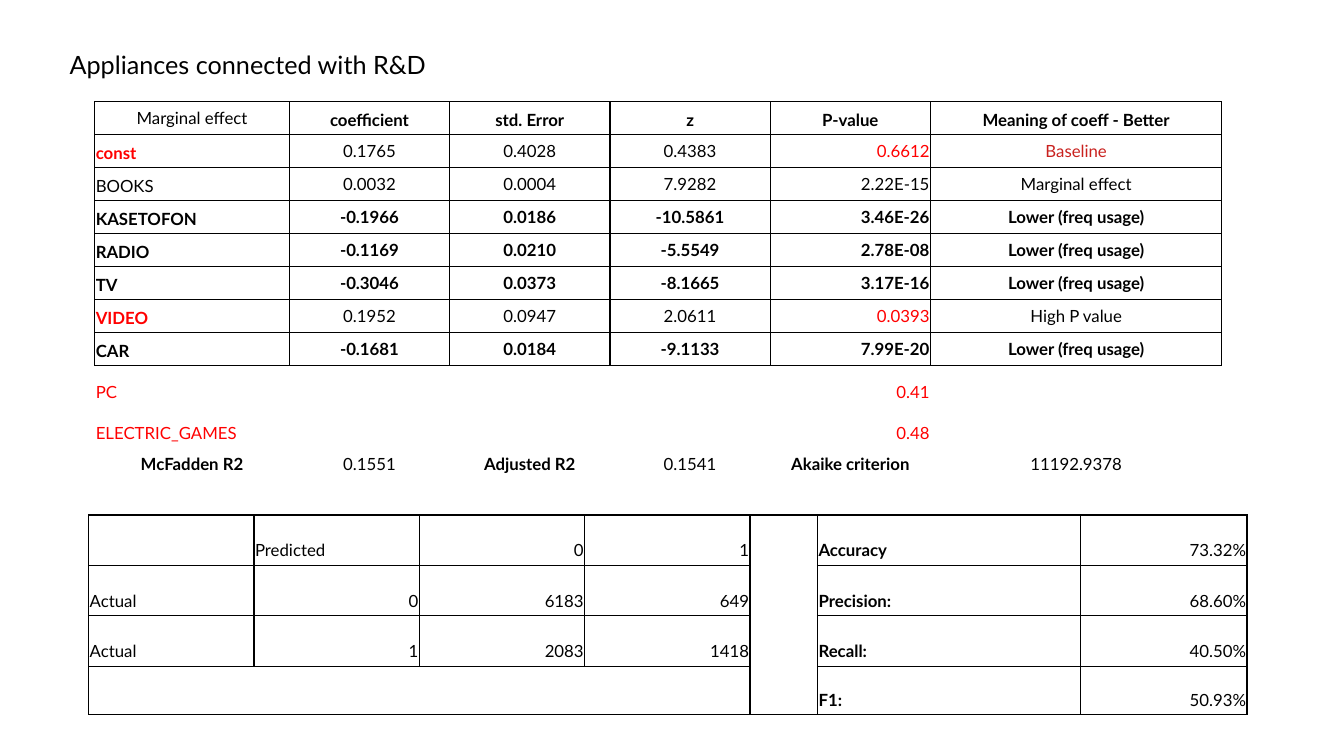
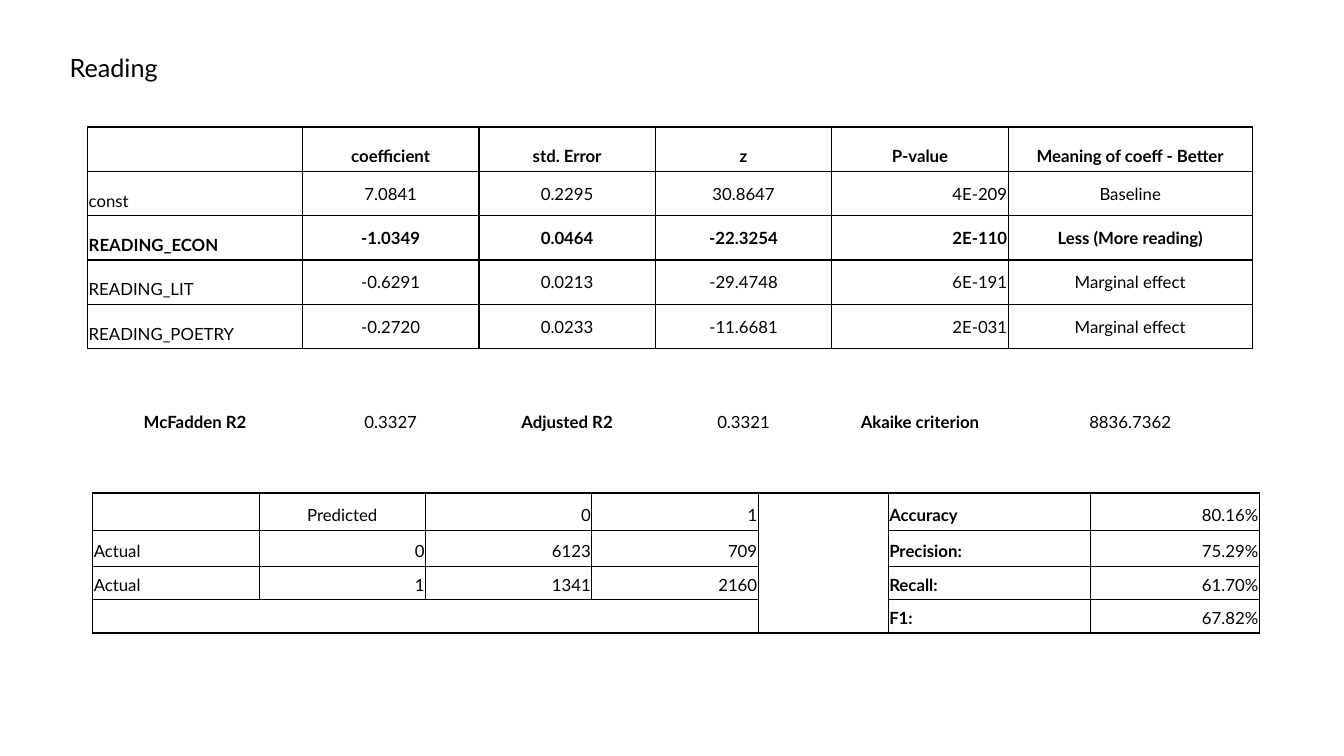
from lxml import etree
from pptx import Presentation
from pptx import util as u
from pptx.dml import color
from pptx.enum import text
from pptx.oxml import ns

FONT = "Lato"
BLACK, RED, DARK_RED = "000000", "FF0000", "C9211E"
LEFT, CENTER, RIGHT = text.PP_ALIGN.LEFT, text.PP_ALIGN.CENTER, text.PP_ALIGN.RIGHT
TOP, MIDDLE, BOTTOM = text.MSO_ANCHOR.TOP, text.MSO_ANCHOR.MIDDLE, text.MSO_ANCHOR.BOTTOM
BORDER_WIDTH = u.Pt(0.96)
HEADINGS = ["coefficient", "std. Error", "z", "P-value", "Meaning of coeff - Better"]
FIT_LABELS = ["McFadden R2", "Adjusted R2", "Akaike criterion"]
SCORE_LABELS = ["Accuracy", "Precision:", "Recall:", "F1:"]
P_VALUE, MEANING = 4, 5
GAP_COLUMN = 4

ROW_STYLES = {
    "plain": {"bold": [], "colors": {}},
    "strong": {"bold": range(6), "colors": {}},
    "baseline": {"bold": [0], "colors": {0: RED, P_VALUE: RED, MEANING: DARK_RED}},
    "rejected": {"bold": [0], "colors": {0: RED, P_VALUE: RED}},
}


def rgb(value):
    return color.RGBColor.from_string(value)


def style_paragraph(paragraph, size, align=LEFT, bold=False, tint=BLACK):
    paragraph.alignment = align
    paragraph.font.name = FONT
    paragraph.font.size = u.Pt(size)
    paragraph.font.bold = bold
    paragraph.font.color.rgb = rgb(tint)


def set_borders(cell, sides):
    properties = cell._tc.get_or_add_tcPr()
    for index, side in enumerate("LRTB"):
        line = etree.Element(ns.qn(f"a:ln{side}"), w=str(int(BORDER_WIDTH)))
        if side in sides:
            fill = etree.SubElement(line, ns.qn("a:solidFill"))
            etree.SubElement(fill, ns.qn("a:srgbClr"), val=BLACK)
        else:
            etree.SubElement(line, ns.qn("a:noFill"))
        properties.insert(index, line)


def fill_cell(cell, value, align=LEFT, anchor=BOTTOM, bold=False, tint=BLACK):
    cell.text = value
    cell.vertical_anchor = anchor
    cell.margin_left = cell.margin_right = u.Inches(0.01)
    cell.margin_top = cell.margin_bottom = u.Inches(0.05 if value else 0)
    style_paragraph(cell.text_frame.paragraphs[0], 12, align, bold, tint)


def add_plain_table(slide, left, top, widths, heights):
    frame = slide.shapes.add_table(
        len(heights), len(widths), u.Inches(left), u.Inches(top),
        u.Inches(sum(widths)), u.Inches(sum(heights)))
    table = frame.table
    table.first_row = table.horz_banding = False
    for column, width in zip(table.columns, widths):
        column.width = u.Inches(width)
    for row, height in zip(table.rows, heights):
        row.height = u.Inches(height)
    for cell in table.iter_cells():
        cell.fill.background()
    return table


def add_title(slide, title, top):
    shape = slide.shapes.title
    shape.left, shape.top = u.Inches(0.59), u.Inches(top)
    shape.width, shape.height = u.Inches(10.31), u.Inches(0.4)
    frame = shape.text_frame
    frame.text = title
    frame.auto_size = text.MSO_AUTO_SIZE.NONE
    frame.vertical_anchor = TOP
    style_paragraph(frame.paragraphs[0], 18)


def add_coefficients(slide, left, top, widths, heights, corner, rows, dropped, fit):
    table = add_plain_table(slide, left, top, widths, heights)
    fill_cell(table.cell(0, 0), corner, CENTER, MIDDLE)
    for column, heading in enumerate(HEADINGS, 1):
        fill_cell(table.cell(0, column), heading, CENTER, bold=True)

    aligns = [LEFT, CENTER, CENTER, CENTER, RIGHT, CENTER]
    for row, (style_name, *values) in enumerate(rows, 1):
        style = ROW_STYLES[style_name]
        for column, value in enumerate(values):
            fill_cell(table.cell(row, column), value, aligns[column],
                      MIDDLE if column else BOTTOM,
                      column in style["bold"], style["colors"].get(column, BLACK))

    first_open = len(rows) + 1
    for row, (label, p_value) in enumerate(dropped, first_open):
        values = {0: label, P_VALUE: p_value}
        for column in range(len(widths)):
            fill_cell(table.cell(row, column), values.get(column, ""),
                      aligns[column], tint=RED)

    last = len(heights) - 1
    for index, (label, value) in enumerate(zip(FIT_LABELS, fit)):
        fill_cell(table.cell(last, 2 * index), label, CENTER, MIDDLE, bold=True)
        fill_cell(table.cell(last, 2 * index + 1), value, CENTER, MIDDLE)

    for row in range(len(heights)):
        sides = "LRTB" if row < first_open else "T" if row == first_open else ""
        for column in range(len(widths)):
            set_borders(table.cell(row, column), sides)


def add_confusion(slide, left, top, widths, heights, counts, scores, predicted_align):
    table = add_plain_table(slide, left, top, widths, heights)
    matrix = [["", "Predicted", "0", "1"]]
    matrix += [["Actual", str(actual), *pair] for actual, pair in enumerate(counts)]
    matrix.append([""] * 4)
    for row, (values, label, score) in enumerate(zip(matrix, SCORE_LABELS, scores)):
        for column, value in enumerate([*values, "", label, score]):
            align = LEFT if column in (0, 5) else RIGHT
            if value == "Predicted":
                align = predicted_align
            cell = table.cell(row, column)
            fill_cell(cell, value, align, bold=column == 5)
            sides = "LRTB"
            if column == GAP_COLUMN:
                sides = "LR" + {0: "T", 3: "B"}.get(row, "")
            set_borders(cell, sides)
    table.cell(3, 0).merge(table.cell(3, 3))


def build_appliances(slide):
    add_title(slide, "Appliances connected with R&D", 0.44)
    lower = "Lower (freq usage)"
    add_coefficients(
        slide, 0.94, 1.01, [1.93] + [1.59] * 4 + [2.89],
        [2.62 / 8] * 8 + [0.41] * 2 + [0.31], "Marginal effect",
        [
            ["baseline", "const", "0.1765", "0.4028", "0.4383", "0.6612", "Baseline"],
            ["plain", "BOOKS", "0.0032", "0.0004", "7.9282", "2.22E-15", "Marginal effect"],
            ["strong", "KASETOFON", "-0.1966", "0.0186", "-10.5861", "3.46E-26", lower],
            ["strong", "RADIO", "-0.1169", "0.0210", "-5.5549", "2.78E-08", lower],
            ["strong", "TV", "-0.3046", "0.0373", "-8.1665", "3.17E-16", lower],
            ["rejected", "VIDEO", "0.1952", "0.0947", "2.0611", "0.0393", "High P value"],
            ["strong", "CAR", "-0.1681", "0.0184", "-9.1133", "7.99E-20", lower],
        ],
        [("PC", "0.41"), ("ELECTRIC_GAMES", "0.48")],
        ["0.1551", "0.1541", "11192.9378"])
    add_confusion(
        slide, 0.88, 5.11, [1.64] * 4 + [0.67, 2.61, 1.65], [0.5] * 3 + [0.48],
        [("6183", "649"), ("2083", "1418")],
        ["73.32%", "68.60%", "40.50%", "50.93%"], LEFT)


def build_reading(slide):
    add_title(slide, "Reading", 0.47)
    marginal = "Marginal effect"
    add_confusion(
        slide, 0.92, 4.89, [1.65] * 4 + [1.29, 2.01, 1.67], [0.37, 0.36, 0.33, 0.33],
        [("6123", "709"), ("1341", "2160")],
        ["80.16%", "75.29%", "61.70%", "67.82%"], CENTER)
    add_coefficients(
        slide, 0.87, 1.26, [2.13] + [1.75] * 4 + [2.42],
        [0.44] * 5 + [0.51, 0.44], "",
        [
            ["plain", "const", "7.0841", "0.2295", "30.8647", "4E-209", "Baseline"],
            ["strong", "READING_ECON", "-1.0349", "0.0464", "-22.3254", "2E-110",
             "Less (More reading)"],
            ["plain", "READING_LIT", "-0.6291", "0.0213", "-29.4748", "6E-191", marginal],
            ["plain", "READING_POETRY", "-0.2720", "0.0233", "-11.6681", "2E-031", marginal],
        ],
        [], ["0.3327", "0.3321", "8836.7362"])


def main():
    presentation = Presentation()
    presentation.slide_width = u.Inches(13.33)
    presentation.slide_height = u.Inches(7.5)
    for build in (build_appliances, build_reading):
        build(presentation.slides.add_slide(presentation.slide_layouts[5]))
    presentation.save("out.pptx")


if __name__ == "__main__":
    main()
